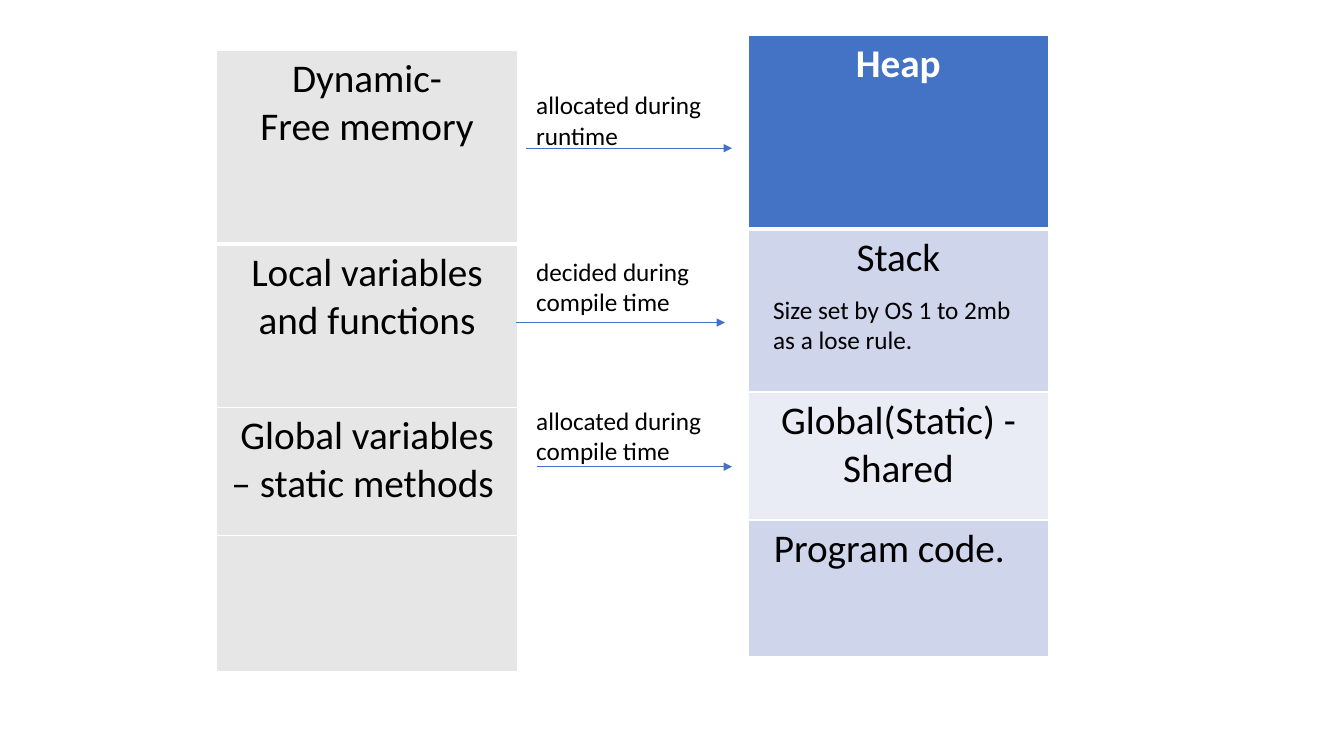
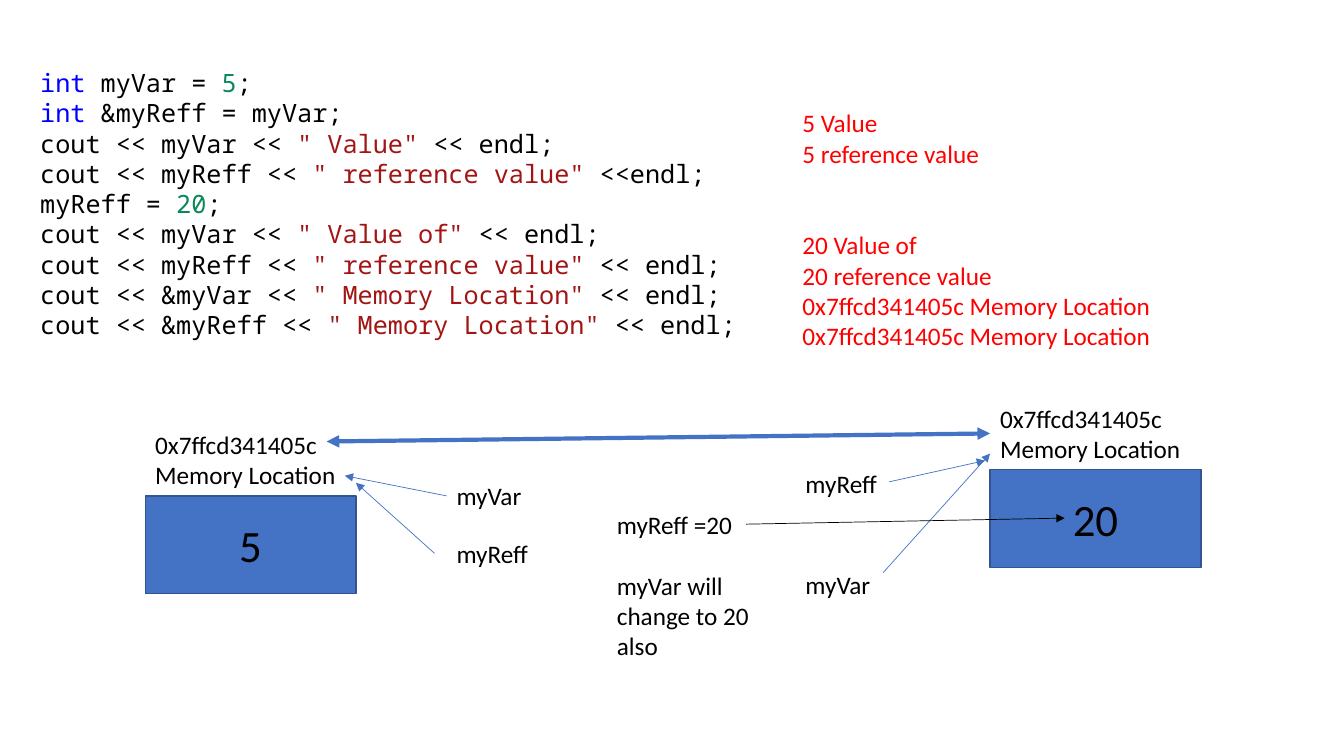
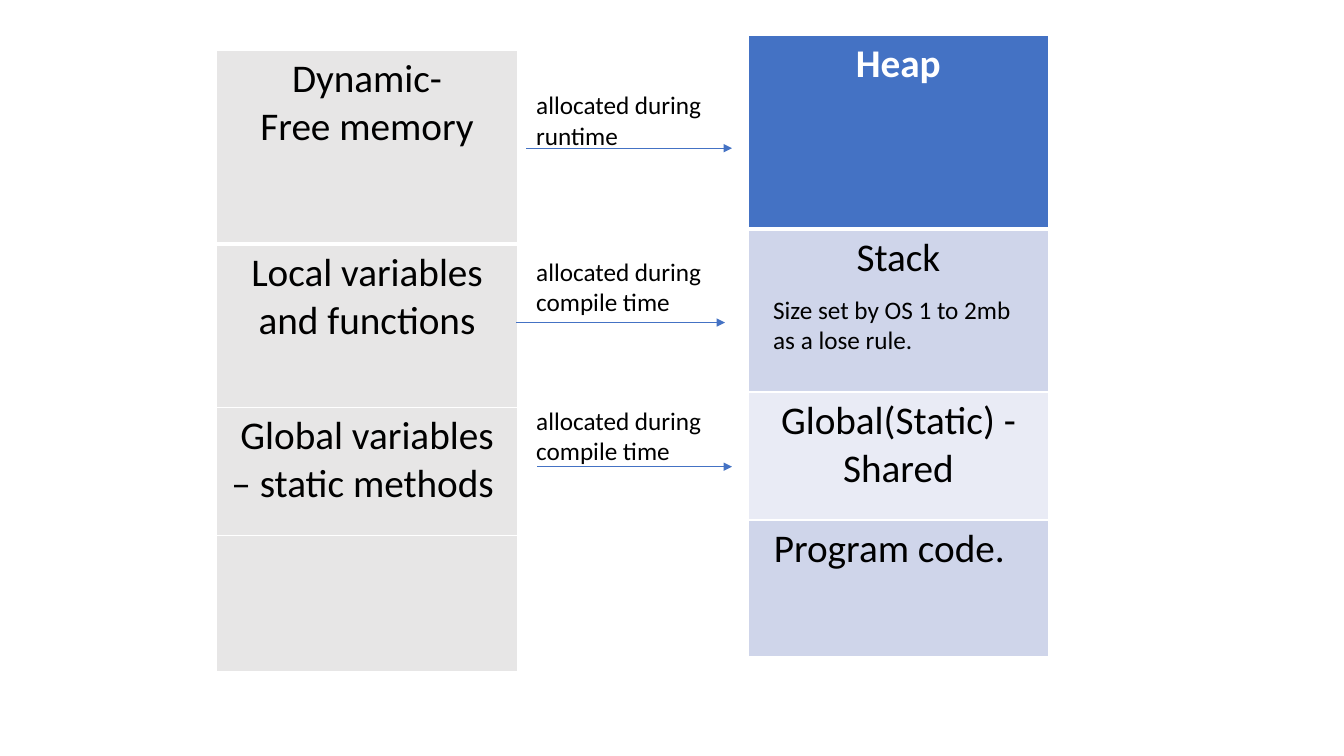
from dataclasses import dataclass

from lxml import etree
from pptx import Presentation
from pptx.dml.color import RGBColor
from pptx.enum.shapes import MSO_CONNECTOR, MSO_SHAPE
from pptx.enum.text import MSO_ANCHOR, MSO_AUTO_SIZE, PP_ALIGN
from pptx.oxml.ns import qn
from pptx.util import Inches, Pt

STRAIGHT = MSO_CONNECTOR.STRAIGHT
RECTANGLE = MSO_SHAPE.RECTANGLE
LEFT, CENTER = PP_ALIGN.LEFT, PP_ALIGN.CENTER
MIDDLE = MSO_ANCHOR.MIDDLE
FIT_SHAPE = MSO_AUTO_SIZE.SHAPE_TO_FIT_TEXT


@dataclass(frozen=True)
class Theme:
    font: str = "Calibri"
    code_font: str = "Noto Sans Mono"
    body: int = 18
    table: int = 28
    value: int = 32
    line_height: float = 1.22
    black: str = "000000"
    white: str = "FFFFFF"
    blue: str = "4472C4"
    outline: str = "325491"
    band_dark: str = "CFD5EA"
    band_light: str = "E9EBF5"
    grey: str = "E7E6E6"
    output: str = "FF0000"
    keyword: str = "0000FF"
    number: str = "09885A"
    string: str = "A31515"


THEME = Theme()


def rgb(colour):
    return RGBColor.from_string(colour)


class Deck:
    """Holds the style and the current slide."""

    def __init__(self, theme):
        self.theme = theme
        self.prs = Presentation()
        self.prs.slide_width, self.prs.slide_height = Inches(13.33), Inches(7.5)
        self.slide = None

    def new_slide(self):
        self.slide = self.prs.slides.add_slide(self.prs.slide_layouts[6])

    def add_runs(self, frame, paragraphs, size, colour, font=None, align=LEFT,
                 bold=False, gaps=None):
        """Paragraphs are strings or lists of (text, colour) runs;
        gaps maps a paragraph index to the lines left free above it."""
        for index, content in enumerate(paragraphs):
            paragraph = frame.paragraphs[0] if index == 0 else frame.add_paragraph()
            paragraph.alignment = align
            if gaps and index in gaps:
                paragraph.space_before = Pt(gaps[index] * size * self.theme.line_height)
            runs = [(content, colour)] if isinstance(content, str) else content
            for text, run_colour in runs:
                run = paragraph.add_run()
                run.text = text
                run.font.name = font or self.theme.font
                run.font.size = Pt(size)
                run.font.bold = bold
                run.font.color.rgb = rgb(run_colour)

    def text(self, left, top, width, height, *paragraphs, colour=None, font=None,
             gaps=None):
        box = self.slide.shapes.add_textbox(
            Inches(left), Inches(top), Inches(width), Inches(height))
        box.text_frame.word_wrap = True
        box.text_frame.auto_size = FIT_SHAPE
        self.add_runs(box.text_frame, paragraphs, self.theme.body,
                      colour or self.theme.black, font, gaps=gaps)

    def arrow(self, start, end, colour=None, width=0.5, both_ends=False):
        line = self.slide.shapes.add_connector(
            STRAIGHT, *(Inches(value) for value in (*start, *end)))
        line.line.color.rgb = rgb(colour or self.theme.blue)
        line.line.width = Pt(width)
        properties = line._element.spPr
        stroke = properties.find(qn("a:ln"))
        for tag in ("a:headEnd", "a:tailEnd") if both_ends else ("a:tailEnd",):
            etree.SubElement(stroke, qn(tag), type="triangle")
        etree.SubElement(properties, qn("a:effectLst"))

    def memory_cell(self, left, top, address, value):
        """An address caption with the stored value in a box below."""
        width, caption_height = 2.09, 0.71
        box = self.slide.shapes.add_shape(
            RECTANGLE, Inches(left), Inches(top + caption_height),
            Inches(width), Inches(0.97))
        box.shadow.inherit = False
        box.fill.solid()
        box.fill.fore_color.rgb = rgb(self.theme.blue)
        box.line.color.rgb = rgb(self.theme.outline)
        box.line.width = Pt(1)
        box.text_frame.vertical_anchor = MIDDLE
        self.add_runs(box.text_frame, [value], self.theme.value, self.theme.black,
                      align=CENTER)
        self.text(left, top, width, caption_height, address)

    def border(self, cell, sides):
        properties = cell._tc.get_or_add_tcPr()
        for position, (side, points) in enumerate(sides.items()):
            edge = etree.Element(qn(f"a:ln{side}"), w=str(Pt(points)))
            fill = etree.SubElement(edge, qn("a:solidFill"))
            etree.SubElement(fill, qn("a:srgbClr"), val=self.theme.white)
            properties.insert(position, edge)

    def memory_table(self, left, top, rows, header_colour, header_bold=False):
        """One column; each row is (paragraphs, fill, extra right margin)."""
        heights = (1.92, 1.62, 1.27, 1.35)
        table = self.slide.shapes.add_table(
            len(rows), 1, Inches(left), Inches(top),
            Inches(2.98), Inches(sum(heights))).table
        table.first_row = table.horz_banding = False
        for index, (paragraphs, fill, indent) in enumerate(rows):
            table.rows[index].height = Inches(heights[index])
            header = index == 0
            cell = table.cell(index, 0)
            cell.fill.solid()
            cell.fill.fore_color.rgb = rgb(fill)
            cell.margin_right = Inches(0.1 + indent)
            sides = {"L": 1, "R": 1, "T": 1, "B": 3 if header else 1}
            if not header:
                del sides["T"]  # the row above draws the shared edge
            self.border(cell, sides)
            self.add_runs(cell.text_frame, paragraphs, self.theme.table,
                          header_colour if header else self.theme.black,
                          align=CENTER, bold=header and header_bold)


def memory_layout(deck, stack_note):
    """Kinds of data on the left, the memory areas they go to on the right."""
    theme = deck.theme
    deck.new_slide()
    # Memory areas and their contents
    deck.memory_table(7.42, 0.35, [
        (["Heap"], theme.blue, 0),
        (["Stack"], theme.band_dark, 0),
        (["Global(Static) - Shared"], theme.band_light, 0),
        (["Program code."], theme.band_dark, 0.18),
    ], theme.white, header_bold=True)
    deck.memory_table(2.15, 0.5, [
        (["Dynamic-", "Free memory"], theme.grey, 0),
        (["Local variables and functions"], theme.grey, 0),
        (["Global variables – static methods "], theme.grey, 0),
        ([], theme.grey, 0),
    ], theme.black)
    # Arrows with the time of allocation
    for start, end, y, note_top, note in (
        (5.22, 7.26, 1.47, 0.84, "allocated during runtime"),
        (5.12, 7.19, 3.2, 2.49, stack_note),
        (5.33, 7.26, 4.63, 3.97, "allocated during compile time"),
    ):
        deck.arrow((start, y), (end, y))
        deck.text(5.22, note_top, 2.03, 0.71, note)
    deck.text(7.57, 2.87, 2.66, 0.71, "Size set by OS 1 to 2mb as a lose rule.")


def print_line(name, label, ending=" << endl;"):
    """The coloured runs of one cout statement."""
    return [(f"cout << {name} << ", THEME.black), (f'"{label}"', THEME.string),
            (ending, THEME.black)]


def references(deck):
    theme = deck.theme
    address = "0x7ffcd341405c Memory Location"
    deck.new_slide()
    # Code and its output
    deck.text(
        0.3, 0.62, 7.56, 2.83,
        [("int ", theme.keyword), ("myVar = ", theme.black),
         ("5", theme.number), (";", theme.black)],
        [("int", theme.keyword), (" &myReff = myVar;", theme.black)],
        print_line("myVar", " Value"),
        print_line("myReff", " reference value", " <<endl;"),
        [("myReff = ", theme.black), ("20", theme.number), (";", theme.black)],
        print_line("myVar", " Value of"),
        print_line("myReff", " reference value"),
        print_line("&myVar", " Memory Location"),
        print_line("&myReff", " Memory Location"),
        font=theme.code_font)
    deck.text(7.86, 1.02, 4.9, 2.52, "5 Value", "5 reference value",
              "20 Value of", "20 reference value", address, address,
              colour=theme.output, gaps={2: 2})
    # The memory cell before and after the assignment
    deck.memory_cell(1.44, 4.21, address, "5")
    deck.memory_cell(9.82, 3.95, address, "20")
    # Names that refer to the cells
    for left, top, width, name in (
        (4.43, 4.72, 1.8, "myVar"), (4.43, 5.29, 1.75, "myReff"),
        (7.89, 5.6, 1.01, "myVar"), (7.89, 4.6, 1.01, "myReff"),
    ):
        deck.text(left, top, width, 0.4, name)
    deck.text(6.02, 5, 1.93, 1.62, "myReff =20", "myVar will change to 20 also",
              gaps={1: 1})
    for start, end in (
        ((4.43, 4.92), (3.42, 4.72)), ((4.31, 5.49), (3.53, 4.79)),
        ((8.82, 4.78), (9.77, 4.57)), ((8.76, 5.68), (9.82, 4.5)),
    ):
        deck.arrow(start, end)
    # Assignment and shared address
    deck.arrow((7.4, 5.2), (10.56, 5.14), colour=theme.black)
    deck.arrow((3.24, 4.38), (9.82, 4.3), width=3, both_ends=True)


deck = Deck(THEME)
memory_layout(deck, "decided during compile time")
references(deck)
memory_layout(deck, "allocated during compile time")
deck.prs.save("out.pptx")
